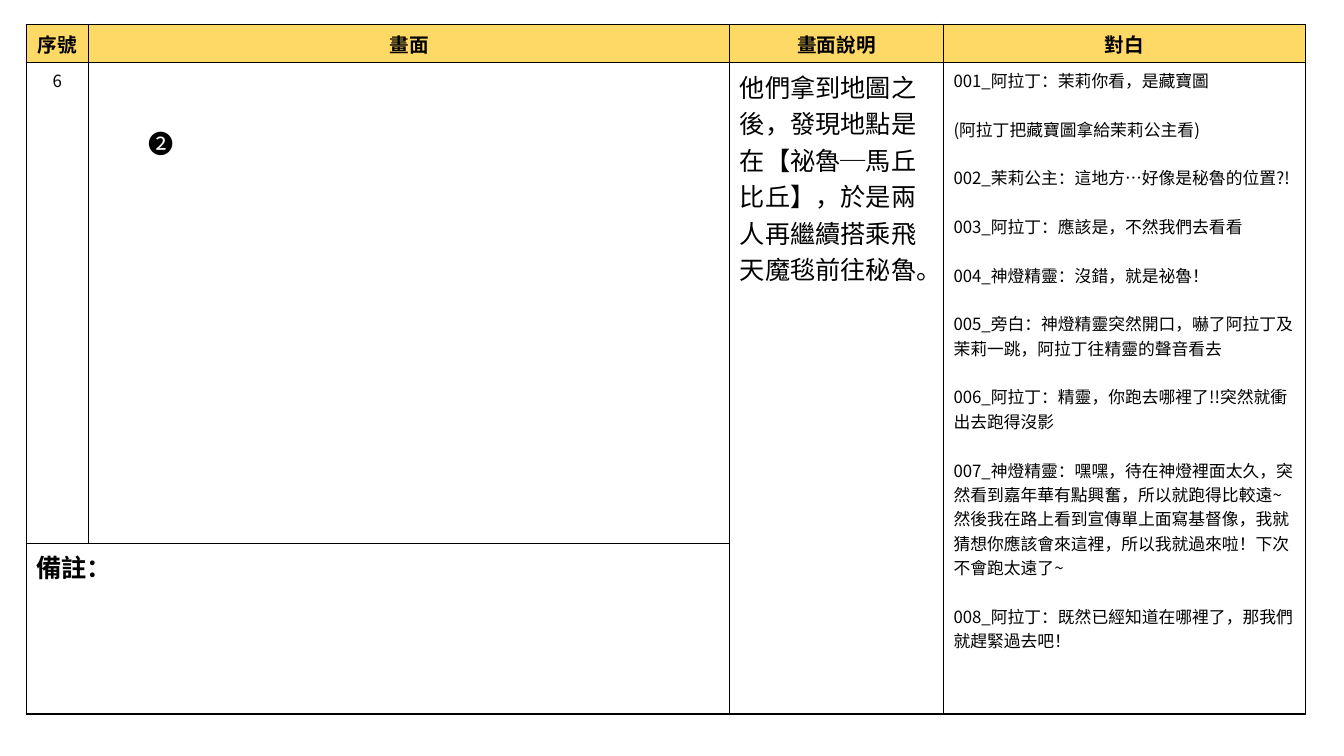
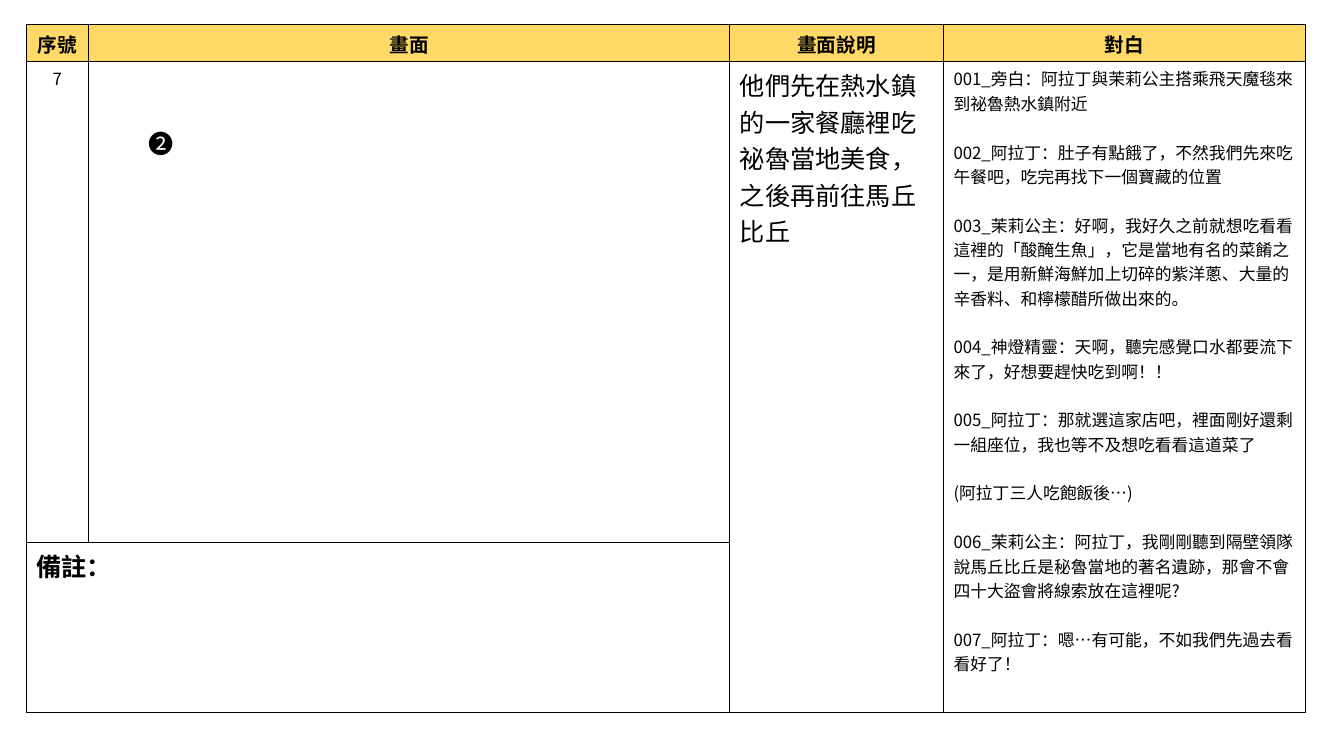
from lxml import etree
from pptx import Presentation
from pptx.dml.color import RGBColor
from pptx.enum.text import PP_ALIGN
from pptx.oxml.ns import qn
from pptx.util import Pt

LEFT, CENTER = PP_ALIGN.LEFT, PP_ALIGN.CENTER

# Shared look
BLACK = RGBColor(0x00, 0x00, 0x00)
GOLD = RGBColor(0xFF, 0xD9, 0x66)
FACE = "Noto Sans CJK SC"
SMALL, HEAD, LARGE = 12, 14, 18
GAP = 17.4  # one line of small text

# Shared frame
WIDE, HIGH = 960, 540
BOX = (18.7, 17.3)
COLS = (44.6, 458, 152.6, 258.5)
ROWS = (26.6, 343.4, 121.7)
HEADS = ("序號", "畫面", "畫面說明", "對白")
MARK = (80.6, 70.5, 31, 29)  # offset from the frame, then size

SCENES = [
    ("6",
     "他們拿到地圖之後，發現地點是在【祕魯─馬丘比丘】，於是兩人再繼續搭乘飛天魔毯前往秘魯。",
     ["001_阿拉丁：茉莉你看，是藏寶圖",
      "(阿拉丁把藏寶圖拿給茉莉公主看)",
      "002_茉莉公主：這地方…好像是秘魯的位置?!",
      "003_阿拉丁：應該是，不然我們去看看",
      "004_神燈精靈：沒錯，就是祕魯！",
      "005_旁白：神燈精靈突然開口，嚇了阿拉丁及茉莉一跳，阿拉丁往精靈的聲音看去",
      "006_阿拉丁：精靈，你跑去哪裡了!!突然就衝出去跑得沒影",
      "007_神燈精靈：嘿嘿，待在神燈裡面太久，突然看到嘉年華有點興奮，所以就跑得比較遠"
      "~然後我在路上看到宣傳單上面寫基督像，我就猜想你應該會來這裡，所以我就過來啦！"
      "下次不會跑太遠了~",
      "008_阿拉丁：既然已經知道在哪裡了，那我們就趕緊過去吧！"]),
    ("7",
     "他們先在熱水鎮的一家餐廳裡吃祕魯當地美食，之後再前往馬丘比丘",
     ["001_旁白：阿拉丁與茉莉公主搭乘飛天魔毯來到祕魯熱水鎮附近",
      "002_阿拉丁：肚子有點餓了，不然我們先來吃午餐吧，吃完再找下一個寶藏的位置",
      "003_茉莉公主：好啊，我好久之前就想吃看看這裡的「酸醃生魚」，它是當地有名的菜餚之一，"
      "是用新鮮海鮮加上切碎的紫洋蔥、大量的辛香料、和檸檬醋所做出來的。",
      "004_神燈精靈：天啊，聽完感覺口水都要流下來了，好想要趕快吃到啊！！",
      "005_阿拉丁：那就選這家店吧，裡面剛好還剩一組座位，我也等不及想吃看看這道菜了",
      "(阿拉丁三人吃飽飯後…)",
      "006_茉莉公主：阿拉丁，我剛剛聽到隔壁領隊說馬丘比丘是秘魯當地的著名遺跡，"
      "那會不會四十大盜會將線索放在這裡呢?",
      "007_阿拉丁：嗯…有可能，不如我們先過去看看好了！"]),
]


def write(frame, lines, size, bold=False, align=LEFT):
    """Fill a text frame, with a blank line's gap between paragraphs."""
    frame.word_wrap = True
    for i, line in enumerate(lines):
        para = frame.paragraphs[0] if i == 0 else frame.add_paragraph()
        para.text = line
        para.alignment = align
        if i < len(lines) - 1:
            para.space_after = Pt(GAP)
        font = para.font
        font.size, font.bold, font.name = Pt(size), bold, FACE
        font.color.rgb = BLACK
        props = para._p.pPr.find(qn("a:defRPr"))
        etree.SubElement(props, qn("a:ea")).set("typeface", FACE)


def rule(cell):
    """Draw a thin black line on all four sides of a cell."""
    props = cell._tc.get_or_add_tcPr()
    for i, side in enumerate("LRTB"):
        line = etree.Element(qn("a:ln" + side), w=str(Pt(1)))
        fill = etree.SubElement(line, qn("a:solidFill"))
        etree.SubElement(fill, qn("a:srgbClr"), val=str(BLACK))
        props.insert(i, line)


def add_board(slide, box, number, note, talk):
    """Place the storyboard table."""
    area = (*box, sum(COLS), sum(ROWS))
    table = slide.shapes.add_table(
        len(ROWS), len(COLS), *map(Pt, area)).table
    table.first_row = table.horz_banding = False
    for col, width in zip(table.columns, COLS):
        col.width = Pt(width)
    for row, height in zip(table.rows, ROWS):
        row.height = Pt(height)

    # Fills and borders
    for r in range(len(ROWS)):
        for c in range(len(COLS)):
            cell = table.cell(r, c)
            if r == 0:
                cell.fill.solid()
                cell.fill.fore_color.rgb = GOLD
            else:
                cell.fill.background()
            rule(cell)

    # Spans: description, dialogue, remarks
    for c in (2, 3):
        table.cell(1, c).merge(table.cell(2, c))
    table.cell(2, 0).merge(table.cell(2, 1))

    # Text
    for c, head in enumerate(HEADS):
        write(table.cell(0, c).text_frame, [head], HEAD, True, CENTER)
    write(table.cell(1, 0).text_frame, [number], SMALL, align=CENTER)
    write(table.cell(1, 2).text_frame, [note], LARGE)
    write(table.cell(1, 3).text_frame, talk, SMALL)
    write(table.cell(2, 0).text_frame, ["備註："], LARGE, True)


def add_mark(slide, box):
    """Place the numbered mark inside the picture cell."""
    x, y, w, h = MARK
    area = (box[0] + x, box[1] + y, w, h)
    mark = slide.shapes.add_textbox(*map(Pt, area))
    write(mark.text_frame, ["❷"], LARGE)


def main():
    deck = Presentation()
    deck.slide_width, deck.slide_height = Pt(WIDE), Pt(HIGH)
    for scene in SCENES:
        slide = deck.slides.add_slide(deck.slide_layouts[6])
        add_board(slide, BOX, *scene)
        add_mark(slide, BOX)
    deck.save("out.pptx")


if __name__ == "__main__":
    main()
